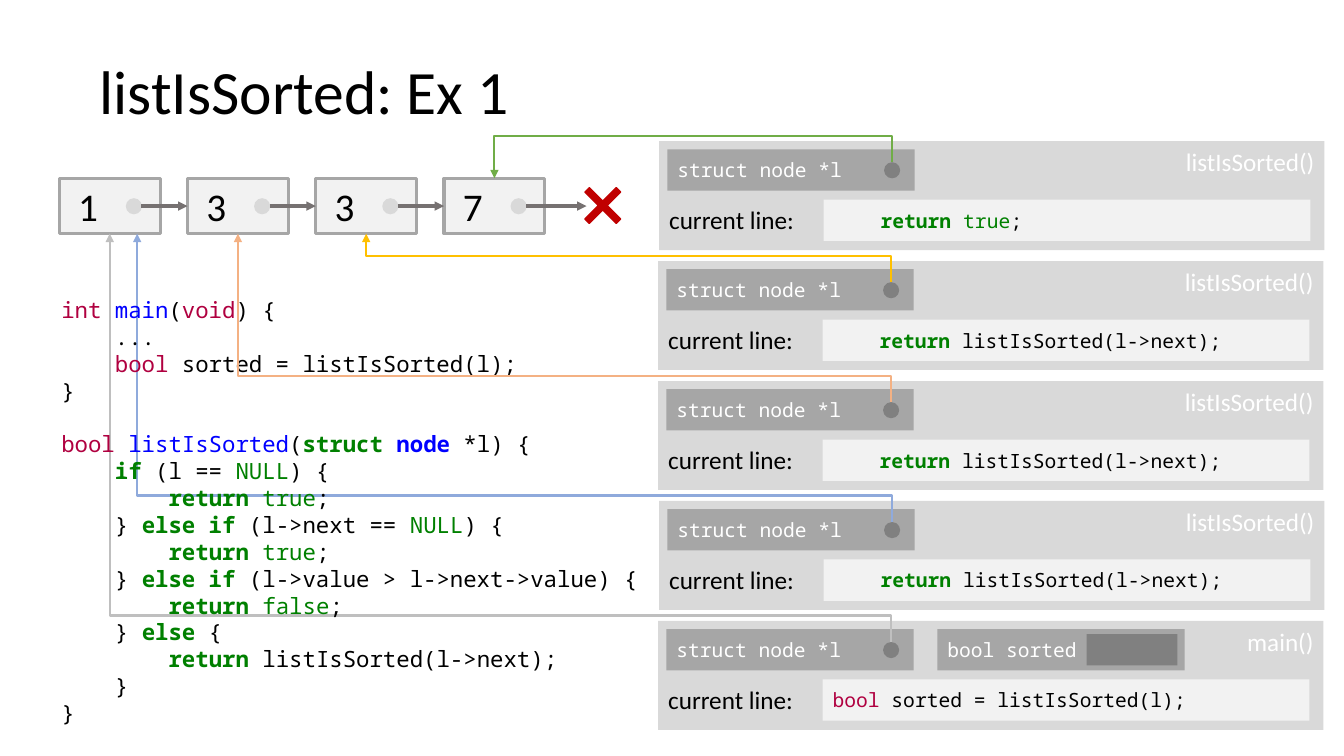
from pptx import Presentation
from pptx.dml.color import RGBColor
from pptx.enum.shapes import MSO_CONNECTOR, MSO_SHAPE
from pptx.enum.text import MSO_ANCHOR, PP_ALIGN
from pptx.oxml.ns import qn
from pptx.util import Pt
from lxml.etree import SubElement

# Code styles: colour and bold
PLAIN = ("000000", False)
TYPE = ("B00040", False)
NAME = ("0000FF", False)
STRUCT_NAME = ("0000FF", True)
KEYWORD = ("008000", True)
CONST = ("008000", False)
WHITE = ("FFFFFF", False)


def color(hex_code):
    return RGBColor.from_string(hex_code)


class Deck:
    SANS = "Calibri"
    MONO = "Noto Sans Mono"

    def __init__(self, slide):
        self.s = slide

    def fill_text(self, sp, lines, size, font, anchor=MSO_ANCHOR.MIDDLE, align=PP_ALIGN.LEFT):
        """Fill a shape with lines, each a list of (text, style) runs."""
        tf = sp.text_frame
        tf.word_wrap = True
        tf.vertical_anchor = anchor
        for i, line in enumerate(lines):
            p = tf.paragraphs[0] if i == 0 else tf.add_paragraph()
            p.alignment = align
            for text, (hex_code, bold) in line:
                r = p.add_run()
                r.text = text
                r.font.size = Pt(size)
                r.font.name = font
                r.font.bold = bold
                r.font.color.rgb = color(hex_code)
        return tf

    def shape(self, kind, x, y, w, h, fill, line=None, width=1):
        sp = self.s.shapes.add_shape(kind, Pt(x), Pt(y), Pt(w), Pt(h))
        sp.shadow.inherit = False
        sp.fill.solid()
        sp.fill.fore_color.rgb = color(fill)
        if line:
            sp.line.color.rgb = color(line)
            sp.line.width = Pt(width)
        else:
            sp.line.fill.background()
        return sp

    def box(self, x, y, w, h, fill, **line):
        return self.shape(MSO_SHAPE.RECTANGLE, x, y, w, h, fill, **line)

    def dot(self, x, y, fill):
        return self.shape(MSO_SHAPE.OVAL, x, y, 11.5, 11.5, fill)

    def text(self, x, y, w, h, lines, size, font, anchor=MSO_ANCHOR.TOP):
        sp = self.s.shapes.add_textbox(Pt(x), Pt(y), Pt(w), Pt(h))
        return self.fill_text(sp, lines, size, font, anchor)

    def arrow(self, x1, y1, x2, y2, hex_code, width, kind=MSO_CONNECTOR.STRAIGHT):
        cn = self.s.shapes.add_connector(kind, Pt(x1), Pt(y1), Pt(x2), Pt(y2))
        cn.line.color.rgb = color(hex_code)
        cn.line.width = Pt(width)
        ln = cn._element.spPr.find(qn("a:ln"))
        SubElement(ln, qn("a:tailEnd"), type="triangle")
        SubElement(cn._element.spPr, qn("a:effectLst"))
        return cn

    def elbow(self, x1, y1, x2, y2, turn_y, hex_code):
        """Arrow that runs vertically to turn_y, across, then vertically again."""
        cx, cy = (x1 + x2) / 2, (y1 + y2) / 2
        dx, dy = (x1 - x2) / 2, (y1 - y2) / 2
        # A quarter turn swaps the width and height around the centre
        cn = self.arrow(cx - dy, cy + dx, cx + dy, cy - dx, hex_code, 1.5, MSO_CONNECTOR.ELBOW)
        spPr = cn._element.spPr
        spPr.find(qn("a:xfrm")).set("rot", "16200000")
        share = round((y1 - turn_y) / (y1 - y2) * 100000)
        guides = spPr.find(qn("a:prstGeom")).find(qn("a:avLst"))
        SubElement(guides, qn("a:gd"), name="adj1", fmla=f"val {share}")

    def frame(self, x, y, title, line):
        """Stack frame with its pointer variable and current line."""
        sp = self.box(x, y, 475.2, 77.8, "D9D9D9")
        self.fill_text(sp, [[(title, WHITE)]], 18, self.SANS, MSO_ANCHOR.TOP, PP_ALIGN.RIGHT)
        self.text(x, y + 41.8, 117.4, 29.5, [[("current line:", PLAIN)]], 18, self.SANS)
        sp = self.box(x + 117.4, y + 41.8, 347.8, 29.5, "F2F2F2")
        self.fill_text(sp, [line], 14, self.MONO)
        self.variable(x + 5.8, y + 5.8, "struct node *l")
        self.dot(x + 160.6, y + 15.1, "808080")

    def variable(self, x, y, text):
        sp = self.box(x, y, 176.6, 29.5, "A6A6A6")
        self.fill_text(sp, [[(text, WHITE)]], 14, self.MONO)


RETURN_TRUE = [("        ", PLAIN), ("return ", KEYWORD), ("true", CONST), (";", PLAIN)]
CODE = [
    [("int ", TYPE), ("main", NAME), ("(", PLAIN), ("void", TYPE), (") {", PLAIN)],
    [("    ...", PLAIN)],
    [("    ", PLAIN), ("bool", TYPE), (" sorted = listIsSorted(l);", PLAIN)],
    [("}", PLAIN)],
    [("bool ", TYPE), ("listIsSorted", NAME), ("(", PLAIN), ("struct ", KEYWORD),
     ("node", STRUCT_NAME), (" *l) {", PLAIN)],
    [("    ", PLAIN), ("if", KEYWORD), (" (l == ", PLAIN), ("NULL", CONST), (") {", PLAIN)],
    RETURN_TRUE,
    [("    } ", PLAIN), ("else if", KEYWORD), (" (l->next == ", PLAIN), ("NULL", CONST),
     (") {", PLAIN)],
    RETURN_TRUE,
    [("    } ", PLAIN), ("else if", KEYWORD), (" (l->value > l->next->value) {", PLAIN)],
    [("        ", PLAIN), ("return ", KEYWORD), ("false", CONST), (";", PLAIN)],
    [("    } ", PLAIN), ("else", KEYWORD), (" {", PLAIN)],
    [("        ", PLAIN), ("return", KEYWORD), (" listIsSorted(l->next);", PLAIN)],
    [("    }", PLAIN)],
    [("}", PLAIN)],
]
RECURSE = [("    return", KEYWORD), (" listIsSorted(l->next);", PLAIN)]
BASE_CASE = [("    return ", KEYWORD), ("true", CONST), (";", PLAIN)]
CALL = [("bool ", TYPE), ("sorted = listIsSorted(l);", PLAIN)]

NODE_X, NODE_Y, NODE_W, NODE_H, NODE_STEP = 42.4, 127.4, 72, 39.6, 91.6
NODE_MID, NODE_BOTTOM = NODE_Y + NODE_H / 2, NODE_Y + NODE_H
FRAME_Y, FRAME_STEP = 100.8, 85.68


def node_center(i):
    return NODE_X + i * NODE_STEP + NODE_W / 2


# Frames from the first call up: left, title, line, arrow target, arrow colour
FRAMES = [
    (470.2, "main()", CALL, node_center(0), NODE_BOTTOM, "BFBFBF"),
    (470.9, "listIsSorted()", RECURSE, 98, NODE_BOTTOM, "8FAADC"),
    (470.2, "listIsSorted()", RECURSE, node_center(1), NODE_BOTTOM, "F4B183"),
    (470.2, "listIsSorted()", RECURSE, node_center(2), NODE_BOTTOM, "FFC000"),
    (470.9, "listIsSorted()", BASE_CASE, node_center(3), NODE_Y, "70AD47"),
]


def main():
    prs = Presentation()
    prs.slide_width, prs.slide_height = Pt(960), Pt(540)
    d = Deck(prs.slides.add_slide(prs.slide_layouts[6]))

    # Linked list
    nodes = []
    for i, value in enumerate((1, 3, 3, 7)):
        x = NODE_X + i * NODE_STEP
        sp = d.box(x, NODE_Y, NODE_W, NODE_H, "F2F2F2", line="A6A6A6", width=2.25)
        d.fill_text(sp, [[(f" {value}", PLAIN)]], 28, d.SANS)
        d.dot(x + 47.5, NODE_MID - 5.6, "D9D9D9")
        nodes.append(sp)

    # End of the list
    cross = d.shape(MSO_SHAPE.CROSS, 414.7, 131, 31.7, 31.7, "C00000", line="C00000")
    cross.adjustments[0] = 0.43
    cross.rotation = 45

    # Links between nodes
    for i in range(4):
        x = NODE_X + i * NODE_STEP + 58.6
        cn = d.arrow(x, NODE_MID, 419, NODE_MID, "767171", 2.25)
        if i < 3:
            cn.end_connect(nodes[i + 1], 1)

    # Call stack, with the title and code between its frames
    for i, (x, title, line, to_x, to_y, hex_code) in enumerate(FRAMES):
        y = FRAME_Y + (4 - i) * FRAME_STEP
        d.frame(x, y, title, line)
        d.elbow(x + 166.3, y + 15.1, to_x, to_y, y - 3.8, hex_code)
        if i == 0:
            tf = d.text(64, 15, 407, 104.4, [[("listIsSorted: Ex 1", PLAIN)]], 44, d.SANS,
                        MSO_ANCHOR.MIDDLE)
            tf.paragraphs[0].line_spacing = 0.9
            d.variable(669.6, y + 5.8, "bool sorted")
            d.box(776.2, y + 9.4, 64.8, 22.3, "808080")
        if i == 1:
            tf = d.text(36.7, 208, 433.4, 317.5, CODE, 16, d.MONO)
            tf.paragraphs[4].space_before = Pt(19.2)

    prs.save("out.pptx")


if __name__ == "__main__":
    main()
